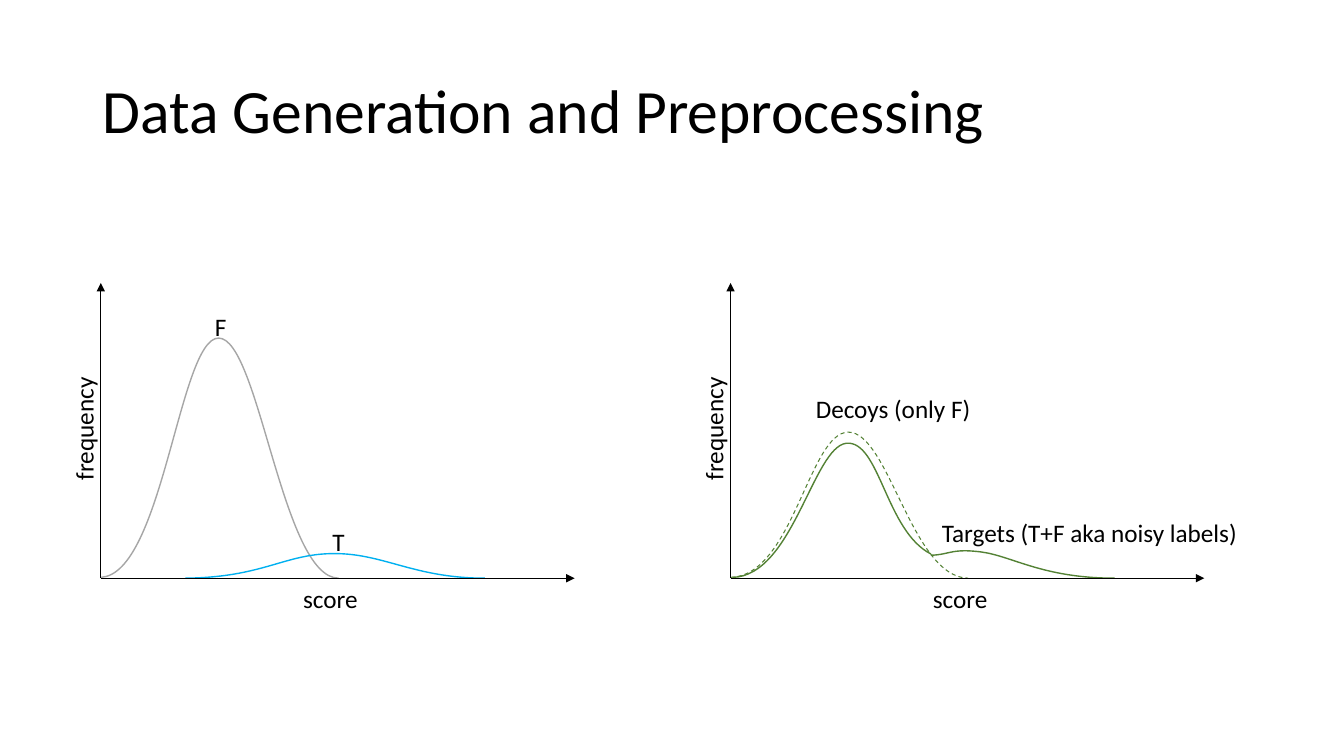
from dataclasses import dataclass

from lxml.etree import SubElement
from pptx import Presentation
from pptx.dml.color import RGBColor
from pptx.enum.dml import MSO_LINE
from pptx.enum.shapes import MSO_CONNECTOR
from pptx.enum.text import MSO_ANCHOR, MSO_AUTO_SIZE, PP_ALIGN
from pptx.oxml.ns import qn
from pptx.util import Cm, Pt


@dataclass(frozen=True)
class Theme:
    """Hold the colours, font and sizes of the slide."""
    ink: RGBColor = RGBColor(0x00, 0x00, 0x00)
    gray: RGBColor = RGBColor(0xA6, 0xA6, 0xA6)
    blue: RGBColor = RGBColor(0x00, 0xB0, 0xF0)
    green: RGBColor = RGBColor(0x54, 0x82, 0x35)
    font: str = "Calibri"
    head: Pt = Pt(44)
    body: Pt = Pt(18)
    axis: Pt = Pt(0.5)
    thin: Pt = Pt(0.75)
    curve: Pt = Pt(1)


@dataclass(frozen=True)
class Box:
    """Give the left, top, width and height of a region in centimetres."""
    left: float
    top: float
    width: float
    height: float

    def spot(self, x, y):
        """Turn a point measured from the lower left corner into lengths."""
        return Cm(self.left + x), Cm(self.top + self.height - y)


@dataclass(frozen=True)
class Curve:
    """Describe a chain of cubic curves by its control points."""
    color: RGBColor
    points: tuple
    width: Pt = Theme.curve
    dash: bool = False


THEME = Theme()
FALSE = Curve(THEME.gray, (
    (0, 0.02), (1.57, 0.1), (1.98, 6.05), (2.97, 6.05),
    (3.99, 6.05), (4.57, 0.02), (5.99, 0)))
TRUE = Curve(THEME.blue, (
    (2.13, 0), (4.11, 0.02), (4.62, 0.62), (5.89, 0.62),
    (7.14, 0.62), (7.9, 0), (9.68, 0)))
DECOY = Curve(THEME.green, (
    (0, 0.02), (1.57, 0.05), (1.98, 3.68), (2.97, 3.68),
    (3.99, 3.68), (4.57, 0.02), (5.99, 0)), THEME.thin, True)
TAIL = Curve(THEME.green, (
    (5.05, 0.58), (5.49, 0.58), (5.56, 0.76), (6.32, 0.66),
    (7.09, 0.56), (7.87, 0), (9.68, 0)))
HUMP = Curve(THEME.green, (
    (0.05, 0.02), (1.57, 0.05), (2.08, 3.3), (2.92, 3.4),
    (3.76, 3.48), (3.91, 1.19), (5.05, 0.61)))
AXES = (("score", 5.8, -0.51, 1.9, 0), ("frequency", -0.43, 3.79, 3.15, 270))


def write(para, text, size):
    """Add one run of text in the theme font."""
    run = para.add_run()
    run.text = text
    run.font.name = THEME.font
    run.font.size = size
    run.font.color.rgb = THEME.ink


def bend(shape, spots):
    """Turn each straight segment of an outline into a cubic curve."""
    for i, line in enumerate(list(shape.element.iter(qn("a:lnTo")))):
        line.tag = qn("a:cubicBezTo")
        line.clear()
        for x, y in spots[3 * i + 1:3 * i + 4]:
            SubElement(line, qn("a:pt"),
                       x=str(x - shape.left), y=str(y - shape.top))


def trace(group, box, curve):
    """Draw an open curve inside the box."""
    spots = [box.spot(*point) for point in curve.points]
    pen = group.shapes.build_freeform(*spots[0])
    pen.add_line_segments(spots[3::3], close=False)
    shape = pen.convert_to_shape()
    bend(shape, spots)
    shape.shadow.inherit = False
    shape.fill.background()
    shape.line.color.rgb = curve.color
    shape.line.width = curve.width
    if curve.dash:
        shape.line.dash_style = MSO_LINE.DASH


def arrow(group, box, x, y):
    """Draw an axis arrow from the corner of the box."""
    line = group.shapes.add_connector(
        MSO_CONNECTOR.STRAIGHT, *box.spot(0, 0), *box.spot(x, y))
    line.line.color.rgb = THEME.ink
    line.line.width = THEME.axis
    props = line.element.spPr
    SubElement(props.find(qn("a:ln")), qn("a:tailEnd"), type="triangle")
    SubElement(props, qn("a:effectLst"))


def label(group, box, text, x, y, width, turn=0):
    """Centre a label on a point of the box."""
    high = 1.02
    left, top = box.spot(x - width / 2, y + high / 2)
    shape = group.shapes.add_textbox(left, top, Cm(width), Cm(high))
    shape.rotation = turn
    frame = shape.text_frame
    frame.word_wrap = False
    frame.auto_size = MSO_AUTO_SIZE.SHAPE_TO_FIT_TEXT
    para = frame.paragraphs[0]
    para.alignment = PP_ALIGN.LEFT
    write(para, text, THEME.body)


def plot(slide, box, curves, labels):
    """Draw a sketched distribution plot with axes, curves and labels."""
    group = slide.shapes.add_group_shape()
    for curve in curves:
        trace(group, box, curve)
    arrow(group, box, 0, box.height)
    arrow(group, box, box.width, 0)
    for item in labels + AXES:
        label(group, box, *item)


def title(slide, box, text):
    """Place the slide title in the box."""
    shape = slide.shapes.title
    shape.left, shape.top = Cm(box.left), Cm(box.top)
    shape.width, shape.height = Cm(box.width), Cm(box.height)
    frame = shape.text_frame
    frame.word_wrap = True
    frame.vertical_anchor = MSO_ANCHOR.MIDDLE
    para = frame.paragraphs[0]
    para.alignment = PP_ALIGN.LEFT
    para.line_spacing = 0.9
    write(para, text, THEME.head)


def main():
    """Build the slide and save it."""
    deck = Presentation()
    deck.slide_width, deck.slide_height = Cm(33.87), Cm(19.05)
    slide = deck.slides.add_slide(deck.slide_layouts[5])
    title(slide, Box(2.33, 1.01, 29.21, 3.68), "Data Generation and Preprocessing")
    plot(slide, Box(2.54, 7.13, 11.94, 7.44), (FALSE, TRUE),
         (("F", 3.03, 6.35, 0.81), ("T", 5.99, 0.91, 0.81)))
    plot(slide, Box(18.41, 7.13, 11.94, 7.44), (DECOY, TAIL, HUMP),
         (("Decoys (only F)", 4.2, 4.27, 4.6),
          ("Targets (T+F aka noisy labels)", 9.09, 1.14, 8.03)))
    deck.save("out.pptx")


if __name__ == "__main__":
    main()
